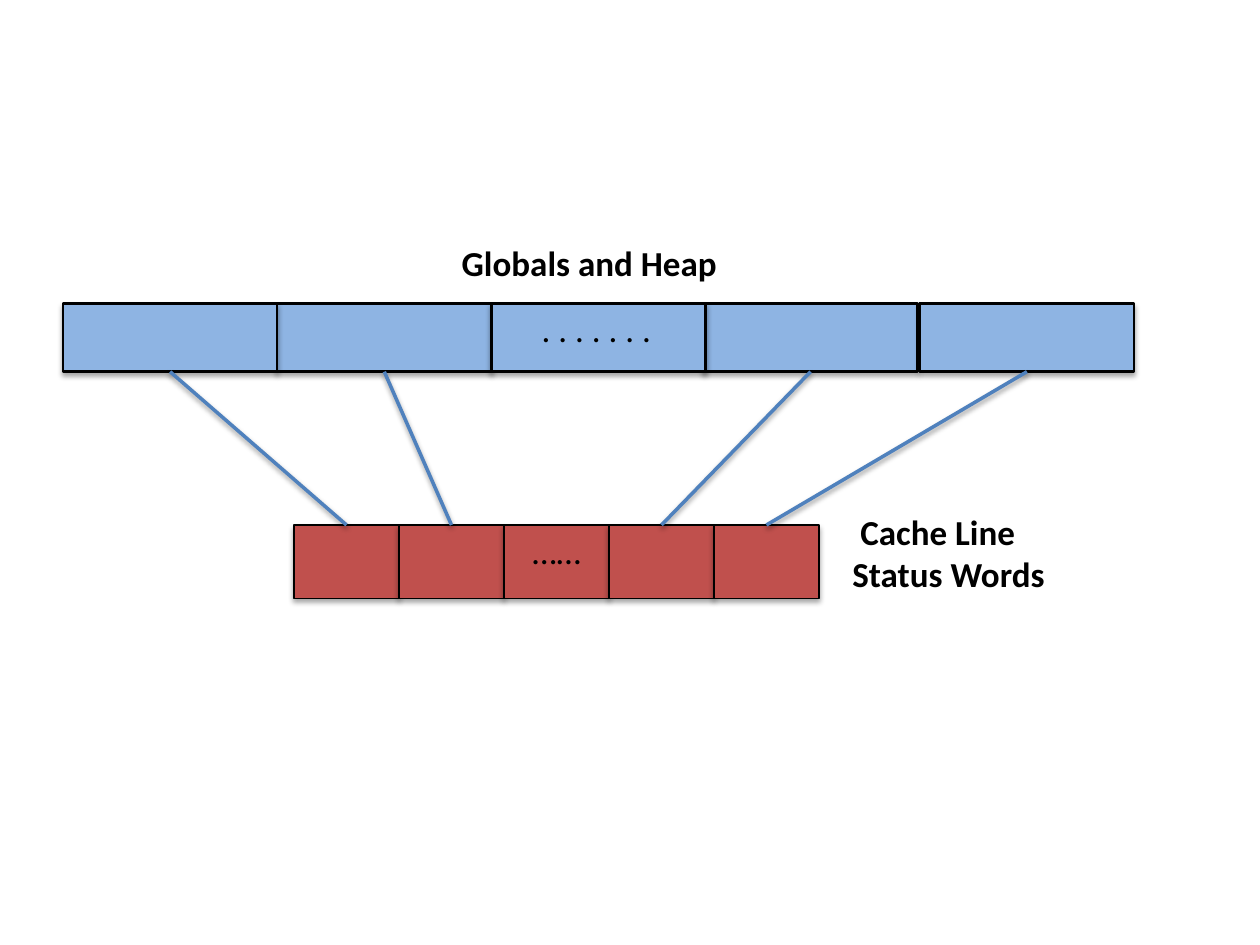
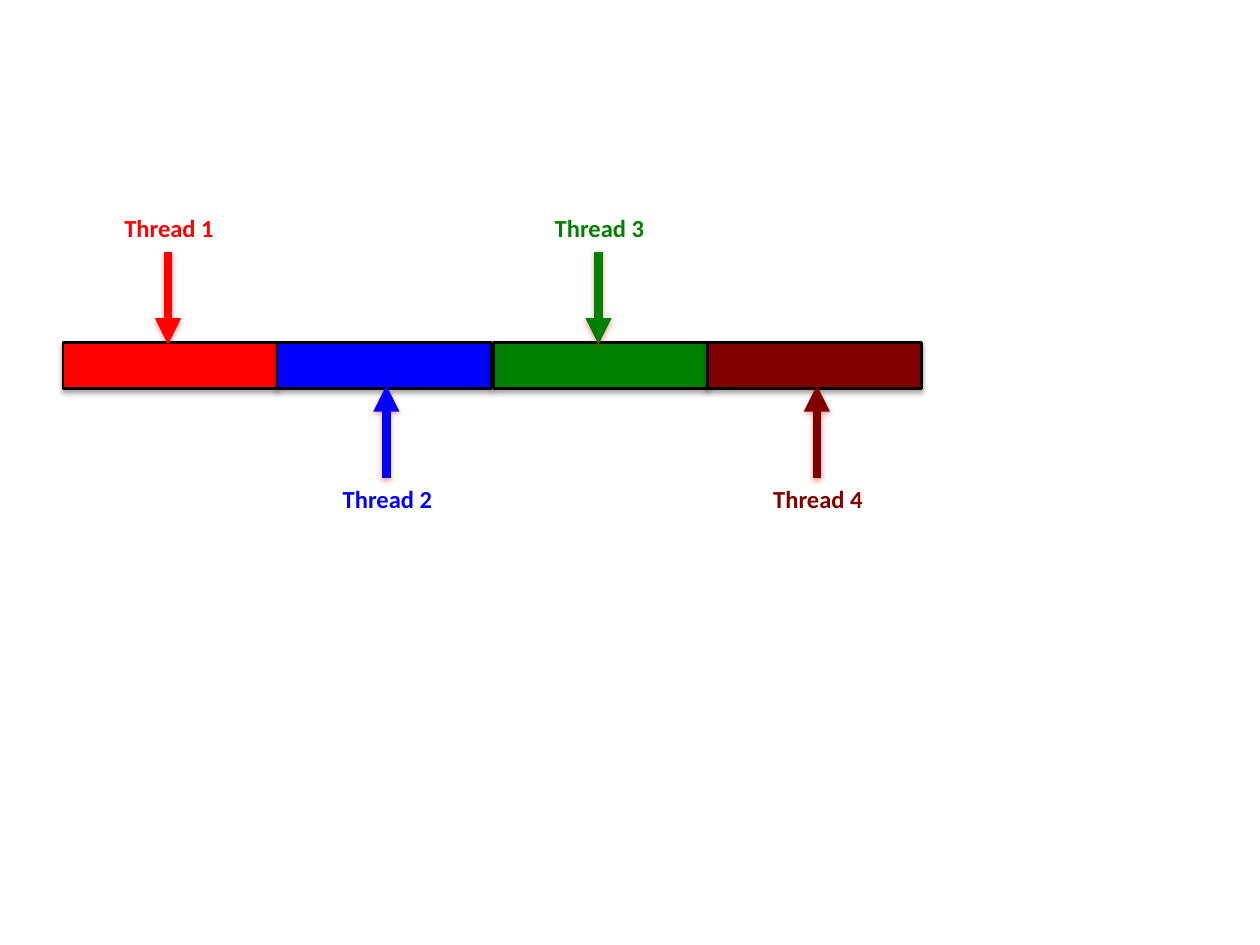
"""Build two memory diagrams: cache line status words and threads on one line."""
from lxml.etree import SubElement
from pptx import Presentation
from pptx.dml.color import RGBColor
from pptx.enum.shapes import MSO_CONNECTOR, MSO_SHAPE
from pptx.enum.text import PP_ALIGN
from pptx.oxml.ns import qn
from pptx.util import Inches, Pt

COLORS = {
    "ink": "000000",
    "heap": "8EB4E3",
    "status": "C0504D",
    "link": "4F81BD",
    "red": "FF0000",
    "blue": "0000FF",
    "green": "008000",
    "maroon": "800000",
}


class Diagram:
    """Style and current slide, measured on a grid of 60 columns and 45 rows."""

    FONT = "Calibri"
    COLUMNS, ROWS = 60, 45

    def __init__(self):
        self.deck = Presentation()
        self.deck.slide_width, self.deck.slide_height = Inches(10), Inches(7.5)
        self.slide = None

    def new_slide(self):
        self.slide = self.deck.slides.add_slide(self.deck.slide_layouts[6])

    def x(self, columns):
        return round(self.deck.slide_width * columns / self.COLUMNS)

    def y(self, rows):
        return round(self.deck.slide_height * rows / self.ROWS)

    def area(self, left, top, width, height):
        return self.x(left), self.y(top), self.x(width), self.y(height)

    def color(self, name):
        return RGBColor.from_string(COLORS[name])

    def shadow(self, element, distance, opacity, color="ink"):
        properties = element.spPr
        for effects in properties.findall(qn("a:effectLst")):
            properties.remove(effects)
        effects = SubElement(properties, qn("a:effectLst"))
        outer = SubElement(effects, qn("a:outerShdw"), blurRad=str(Pt(3.1)),
                           dist=str(Pt(distance)), dir="5400000", rotWithShape="0")
        tint = SubElement(outer, qn("a:srgbClr"), val=COLORS[color])
        SubElement(tint, qn("a:alpha"), val=str(opacity * 1000))

    def cell(self, left, top, width, height, fill, border=1.5):
        cell = self.slide.shapes.add_shape(
            MSO_SHAPE.RECTANGLE, *self.area(left, top, width, height))
        cell.fill.solid()
        cell.fill.fore_color.rgb = self.color(fill)
        cell.line.color.rgb = self.color("ink")
        cell.line.width = Pt(border)
        self.shadow(cell._element, 1.8, 35)
        return cell

    def line(self, start, end, color, width, shadow="ink", arrow=False):
        line = self.slide.shapes.add_connector(
            MSO_CONNECTOR.STRAIGHT, self.x(start[0]), self.y(start[1]),
            self.x(end[0]), self.y(end[1]))
        line.line.color.rgb = self.color(color)
        line.line.width = Pt(width)
        if arrow:
            SubElement(line.line._get_or_add_ln(), qn("a:tailEnd"), type="triangle")
        self.shadow(line._element, 1.6, 38, shadow)
        return line

    def link(self, upper, lower):
        link = self.line((0, 0), (1, 1), "link", 2)
        link.begin_connect(upper, 2)
        link.end_connect(lower, 0)

    def label(self, text, left, top, width, height, size=20, color="ink",
              bold=True, align=PP_ALIGN.CENTER):
        label = self.slide.shapes.add_textbox(*self.area(left, top, width, height))
        frame = label.text_frame
        frame.word_wrap = True
        frame.text = text
        for paragraph in frame.paragraphs:
            paragraph.alignment = align
            paragraph.font.name = self.FONT
            paragraph.font.size = Pt(size)
            paragraph.font.bold = bold
            paragraph.font.color.rgb = self.color(color)

    def save(self):
        self.deck.save("out.pptx")


def status_words(diagram):
    """Draw heap lines and the status word that belongs to each."""
    diagram.new_slide()
    heap_lefts = (3, 13.2, 23.4, 33.5, 43.8)
    heap = {i: diagram.cell(heap_lefts[i], 14.46, 10.2, 3.24, "heap")
            for i in (1, 3, 4, 0, 2)}
    diagram.label(". . . . . . .", 25.2, 14.34, 8.16, 2.64,
                  bold=False, align=PP_ALIGN.LEFT)
    diagram.label(" Cache Line \nStatus Words ", 40, 24, 14, 4.62,
                  align=PP_ALIGN.LEFT)
    status = [diagram.cell(14 + 5 * i, 25, 5, 3.5, "status", 0.75)
              for i in range(5)]
    diagram.label("……", 24, 24.9, 5, 2.64, bold=False)
    for i in (0, 1, 3, 4):
        diagram.link(heap[i], status[i])
    diagram.label("Globals and Heap ", 14, 11.22, 28.5, 2.64)


def threads(diagram):
    """Draw four threads, each pointing at its own part of memory."""
    diagram.new_slide()
    parts = (("red", 3, 8), ("blue", 13.2, 18.4),
             ("green", 23.5, 28.5), ("maroon", 33.7, 38.9))
    for number, (color, left, middle) in enumerate(parts, 1):
        from_above = number % 2 == 1
        diagram.cell(left, 16.3, 10.2, 2.2, color)
        start, end = (12, 16.4) if from_above else (22.75, 18.35)
        diagram.line((middle, start), (middle, end), color, 5, "red", arrow=True)
        label_top, label_width = (9.85, 10.1) if from_above else (22.75, 10.5)
        diagram.label(f"Thread {number}", left, label_top, label_width, 2.03,
                      size=14, color=color)


diagram = Diagram()
status_words(diagram)
threads(diagram)
diagram.save()
